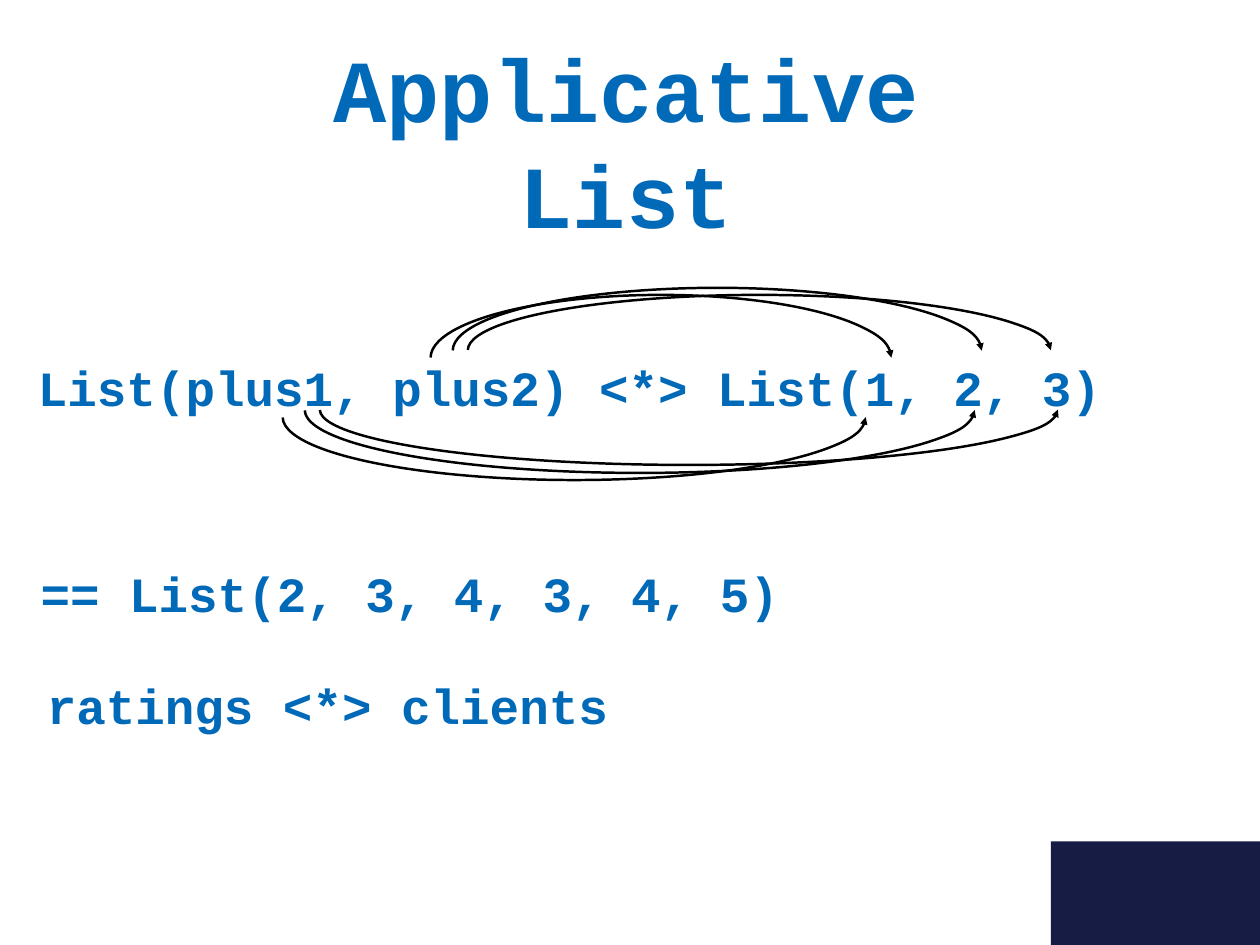
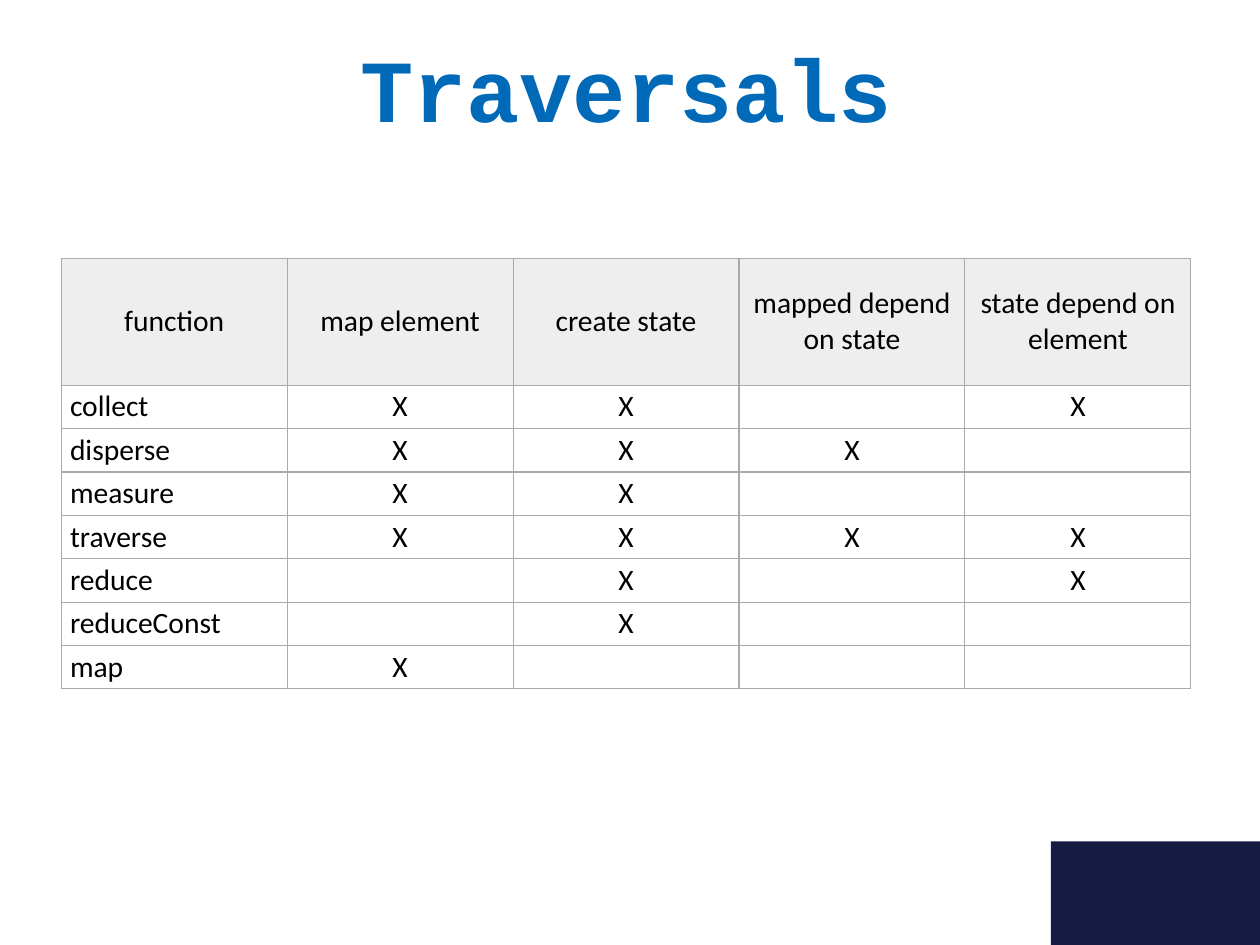
import pptx
import pptx.util
import pptx.dml.color
import pptx.enum.shapes
import pptx.enum.text
import pptx.oxml
import pptx.oxml.ns
from dataclasses import dataclass

Inches = pptx.util.Inches
Pt = pptx.util.Pt
ALIGN = pptx.enum.text.PP_ALIGN


@dataclass(frozen=True)
class Theme:
    width: float = 14.22
    height: float = 10.67
    blue: str = "0069B8"
    navy: str = "171C45"
    black: str = "000000"
    white: str = "FFFFFF"
    header: str = "EEEEEE"
    border: str = "AAAAAA"
    code_font: str = "Courier New"
    table_font: str = "Calibri"
    title_size: int = 72
    code_size: int = 40
    table_size: int = 24
    arrow_width: int = 2


THEME = Theme()

APPLICATIVE_TITLE = ["Applicative", "List"]
CODE_LINES = [
    ("List(plus1, plus2) <*> List(1, 2, 3)", 0.33, 3.98, 12.94, True),
    ("ratings <*> clients", 0.43, 7.58, 6.6, False),
    ("== List(2, 3, 4, 3, 4, 5)", 0.36, 6.31, 12.94, True),
]
PLUS1_ARCS = [(3.19, 4, 6.58, 1.42), (3.44, 3.92, 7.56, 1.42), (3.61, 4, 8.33, 1.25)]
PLUS2_ARCS = [(4.86, 3.33, 5.2, 1.42), (5.11, 3.25, 5.97, 1.42), (5.28, 3.33, 6.58, 1.25)]

TRAVERSALS_TITLE = ["Traversals"]
HEADINGS = ["function", "map element", "create state",
            "mapped depend on state", "state depend on element"]
TRAVERSALS = [
    ("collect", (1, 1, 0, 1)),
    ("disperse", (1, 1, 1, 0)),
    ("measure", (1, 1, 0, 0)),
    ("traverse", (1, 1, 1, 1)),
    ("reduce", (0, 1, 0, 1)),
    ("reduceConst", (0, 1, 0, 0)),
    ("map", (1, 0, 0, 0)),
]
TABLE_LEFT, TABLE_TOP = 0.69, 2.92
COLUMN_WIDTH, HEADER_HEIGHT, ROW_HEIGHT = 2.55, 1.43, 0.49


def color(value):
    return pptx.dml.color.RGBColor.from_string(value)


def add_span(para, text, size, font, ink, bold=False):
    span = para.add_run()
    span.text = text
    span.font.size = Pt(size)
    span.font.name = font
    span.font.bold = bold
    span.font.color.rgb = color(ink)


def add_text(page, lines, place, size, align=ALIGN.LEFT, wrap=True):
    box = page.shapes.add_textbox(*map(Inches, place))
    frame = box.text_frame
    frame.word_wrap = wrap
    frame.auto_size = pptx.enum.text.MSO_AUTO_SIZE.SHAPE_TO_FIT_TEXT
    for index, line in enumerate(lines):
        para = frame.add_paragraph() if index else frame.paragraphs[0]
        para.alignment = align
        add_span(para, line, size, THEME.code_font, THEME.blue, bold=True)


def add_page(deck, title):
    page = deck.slides.add_slide(deck.slide_layouts[6])
    page.background.fill.solid()
    page.background.fill.fore_color.rgb = color(THEME.white)
    left, top = 11.86, 9.5
    corner = page.shapes.add_shape(
        pptx.enum.shapes.MSO_SHAPE.RECTANGLE, Inches(left), Inches(top),
        Inches(THEME.width - left), Inches(THEME.height - top))
    corner.shadow.inherit = False
    corner.fill.solid()
    corner.fill.fore_color.rgb = color(THEME.navy)
    corner.line.fill.background()
    height = 0.1 + 1.21 * len(title)
    add_text(page, title, (1.44, 0.33, 11.25, height), THEME.title_size, ALIGN.CENTER)
    return page


def add_arc(page, place, below):
    arc = page.shapes.add_shape(pptx.enum.shapes.MSO_SHAPE.ARC, *map(Inches, place))
    arc.shadow.inherit = False
    arc.adjustments[0] = 108.04
    arc.adjustments[1] = 0
    arc.fill.background()
    arc.line.color.rgb = color(THEME.black)
    arc.line.width = Pt(THEME.arrow_width)
    properties = arc.element.spPr
    if below:
        properties.find(pptx.oxml.ns.qn("a:xfrm")).set("flipV", "1")
    head = pptx.oxml.parse_xml(
        f'<a:tailEnd {pptx.oxml.ns.nsdecls("a")} type="triangle"/>')
    properties.find(pptx.oxml.ns.qn("a:ln")).append(head)


def add_borders(cell):
    properties = cell._tc.get_or_add_tcPr()
    for index, side in enumerate("LRTB"):
        properties.insert(index, pptx.oxml.parse_xml(
            f'<a:ln{side} {pptx.oxml.ns.nsdecls("a")} w="{Pt(1)}"><a:solidFill>'
            f'<a:srgbClr val="{THEME.border}"/></a:solidFill></a:ln{side}>'))


def fill_cell(cell, text, fill, align, insets):
    cell.fill.solid()
    cell.fill.fore_color.rgb = color(fill)
    cell.vertical_anchor = pptx.enum.text.MSO_ANCHOR.MIDDLE
    side, edge, left = insets
    cell.margin_left, cell.margin_right = Inches(left), Inches(side)
    cell.margin_top = cell.margin_bottom = Inches(edge)
    para = cell.text_frame.paragraphs[0]
    para.alignment = align
    if text:
        add_span(para, text, THEME.table_size, THEME.table_font, THEME.black)
    add_borders(cell)


def add_traversal_table(page):
    rows = [HEADINGS] + [[name] + ["X" if mark else "" for mark in marks]
                         for name, marks in TRAVERSALS]
    heights = [HEADER_HEIGHT] + [ROW_HEIGHT] * len(TRAVERSALS)
    table = page.shapes.add_table(
        len(rows), len(HEADINGS), Inches(TABLE_LEFT), Inches(TABLE_TOP),
        Inches(COLUMN_WIDTH * len(HEADINGS)), Inches(sum(heights))).table
    table.first_row = table.horz_banding = False
    for column in table.columns:
        column.width = Inches(COLUMN_WIDTH)
    for row, (texts, height) in enumerate(zip(rows, heights)):
        table.rows[row].height = Inches(height)
        for column, text in enumerate(texts):
            is_name = row > 0 and column == 0
            fill_cell(table.cell(row, column), text,
                      THEME.white if row else THEME.header,
                      ALIGN.LEFT if is_name else ALIGN.CENTER,
                      (0.03, 0.01, 0.1 if is_name else 0.03) if row else (0.06, 0.02, 0.06))


def main():
    deck = pptx.Presentation()
    deck.slide_width = Inches(THEME.width)
    deck.slide_height = Inches(THEME.height)

    page = add_page(deck, APPLICATIVE_TITLE)
    for arcs, below in ((PLUS1_ARCS, True), (PLUS2_ARCS, False)):
        for place in arcs:
            add_arc(page, place, below)
    for text, left, top, width, wrap in CODE_LINES:
        add_text(page, [text], (left, top, width, 0.77), THEME.code_size, wrap=wrap)

    add_traversal_table(add_page(deck, TRAVERSALS_TITLE))
    deck.save("out.pptx")


if __name__ == "__main__":
    main()
